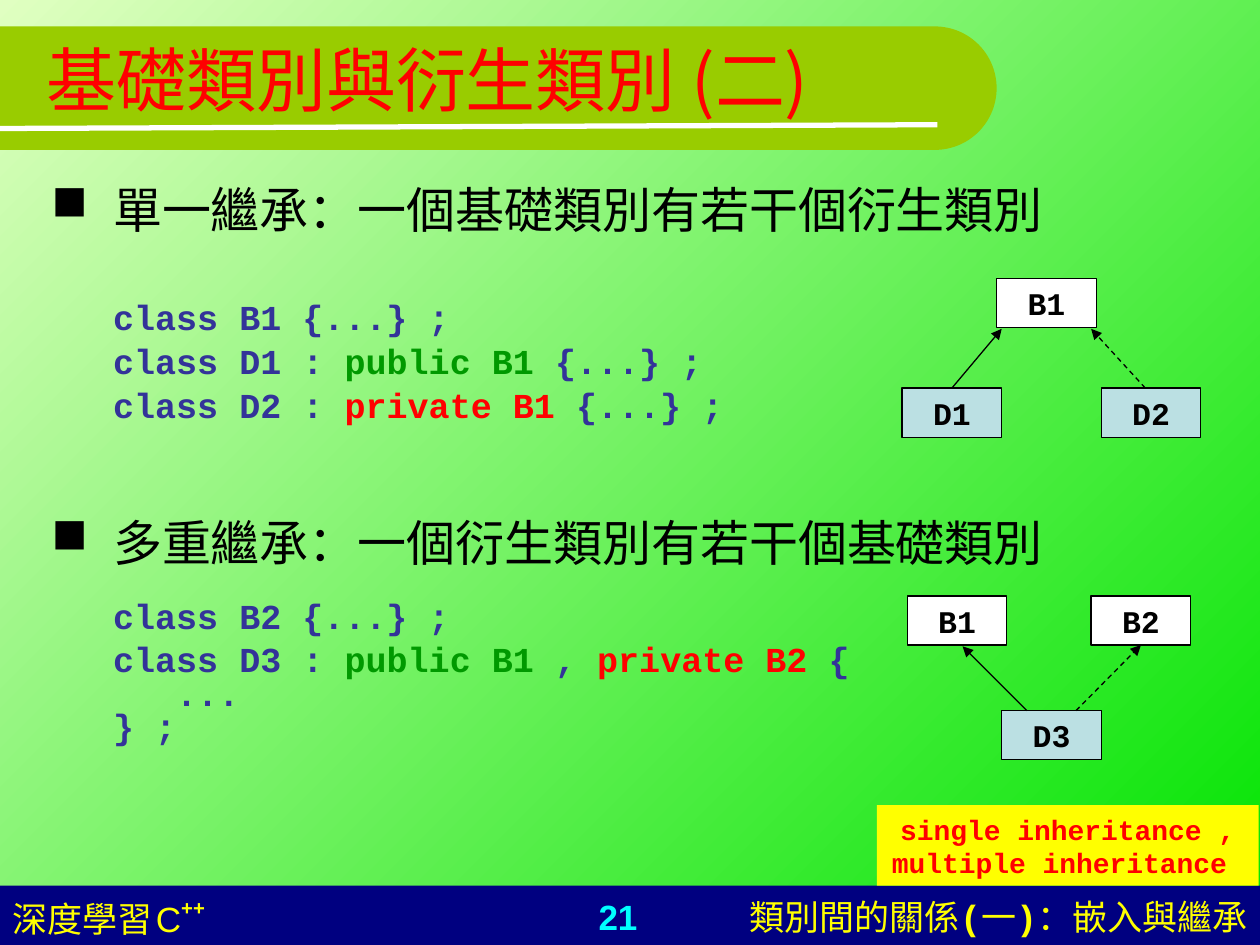
import math

from lxml import etree
from pptx import Presentation
from pptx import util as u
from pptx.dml.color import RGBColor
from pptx.enum import dml, shapes, text
from pptx.oxml.ns import qn

BLACK = RGBColor(0, 0, 0)
WHITE = RGBColor(255, 255, 255)
RED = RGBColor(255, 0, 0)
YELLOW = RGBColor(255, 255, 0)
CYAN = RGBColor(0, 255, 255)
NAVY = RGBColor(0, 0, 0x80)
OLIVE = RGBColor(0x99, 0xCC, 0)
INDIGO = RGBColor(0x33, 0x33, 0x99)
GREEN = RGBColor(0, 0x99, 0)
PALE_BLUE = RGBColor(0xBB, 0xE0, 0xE3)
GRADIENT = RGBColor(0xE0, 0xFF, 0xC1), RGBColor(0, 0xE4, 0)

SANS, MONO, CJK = "Arial", "Courier New", "Noto Sans CJK SC"
COLS, ROWS = 100, 75
NODE_W, NODE_H = 7.9, 3.9
INDENT = 4.9


def cell(n):
    """Length of n grid units; the slide is 100 columns by 75 rows."""
    return int(n * u.Inches(10) / COLS)


def add_run(p, words, size, color, font=SANS, bold=False):
    r = p.add_run()
    r.text = words
    r.font.size, r.font.name, r.font.bold = u.Pt(size), font, bold
    r.font.color.rgb = color
    return r


def add_text(s, left, top, width, height, align=text.PP_ALIGN.LEFT):
    """Add a wrapping text box and return its text frame."""
    tf = s.shapes.add_textbox(*map(cell, (left, top, width, height))).text_frame
    tf.word_wrap = True
    tf.paragraphs[0].alignment = align
    return tf


def add_rect(s, left, top, width, height, fill):
    sp = s.shapes.add_shape(shapes.MSO_SHAPE.RECTANGLE,
                            *map(cell, (left, top, width, height)))
    sp.shadow.inherit = False
    sp.fill.solid()
    sp.fill.fore_color.rgb = fill
    sp.line.fill.background()
    return sp


def add_line(s, start, end, color=BLACK, width=0.75, arrow=False, dashed=False):
    line = s.shapes.add_connector(shapes.MSO_CONNECTOR.STRAIGHT,
                                  *map(cell, (*start, *end)))
    line.line.color.rgb = color
    line.line.width = u.Pt(width)
    if dashed:
        line.line.dash_style = dml.MSO_LINE.DASH
    if arrow:
        etree.SubElement(line.line._get_or_add_ln(), qn("a:tailEnd"), type="triangle")
    etree.SubElement(line._element.spPr, qn("a:effectLst"))
    return line


def add_node(s, name, left, top, fill=WHITE):
    sp = add_rect(s, left, top, NODE_W, NODE_H, fill)
    sp.line.color.rgb = BLACK
    sp.line.width = u.Pt(0.75)
    tf = sp.text_frame
    tf.word_wrap = False
    tf.vertical_anchor = text.MSO_ANCHOR.MIDDLE
    p = tf.paragraphs[0]
    p.alignment = text.PP_ALIGN.CENTER
    add_run(p, name, 18, BLACK, MONO, True)
    return sp


def add_banner(s):
    """Title band with a half-round right end and a white underline."""
    middle, radius, straight = 7, 4.9, 74.2
    arc = [(cell(straight + radius * math.cos(a)), cell(middle + radius * math.sin(a)))
           for a in (math.radians(d) for d in range(-90, 91, 3))]
    builder = s.shapes.build_freeform(0, arc[0][1])
    builder.add_line_segments(arc + [(0, arc[-1][1])], close=True)
    band = builder.convert_to_shape()
    band.shadow.inherit = False
    band.fill.solid()
    band.fill.fore_color.rgb = OLIVE
    band.line.fill.background()
    add_line(s, (0, 10.2), (74.4, 9.9), WHITE, 3)

    tf = add_text(s, 2.7, 0, 90, 12.5)
    tf.vertical_anchor = text.MSO_ANCHOR.MIDDLE
    add_run(tf.paragraphs[0], "基礎類別與衍生類別 ", 40, RED)
    add_run(tf.paragraphs[0], "(二)", 40, RED, CJK)


def add_footer(s):
    add_rect(s, 0, 70.3, COLS, 4.7, NAVY)
    top, height = 70.6, 4.4
    page = add_text(s, 37.4, top, 23.3, height, text.PP_ALIGN.CENTER)
    add_run(page.paragraphs[0], "21", 20, CYAN, bold=True)

    p = add_text(s, 50.8, top, 49.2, height, text.PP_ALIGN.RIGHT).paragraphs[0]
    for words, font, bold in (("類別間的關係", SANS, False), ("(", MONO, True),
                              ("一", SANS, False), (")", MONO, True),
                              ("：", SANS, False), ("嵌入與繼承", CJK, False)):
        add_run(p, words, 20, YELLOW, font, bold)

    p = add_text(s, 0, top, 35.8, height).paragraphs[0]
    add_run(p, "深度學習", 20, YELLOW)
    add_run(p, " ", 8, YELLOW)
    add_run(p, "C", 20, YELLOW)
    plus = add_run(p, "++", 20, YELLOW, bold=True)
    plus.font._element.set("baseline", "46000")


def next_paragraph(tf, before, line, indent=0):
    """Start a paragraph with fixed line height, reusing the empty first one."""
    p = tf.paragraphs[0] if not tf.paragraphs[0].runs else tf.add_paragraph()
    p.space_before, p.line_spacing = u.Pt(before), u.Pt(line)
    pPr = p._p.get_or_add_pPr()
    pPr.set("marL", str(cell(INDENT)))
    pPr.set("indent", str(cell(indent)))
    return p


def add_heading(tf, words, before):
    p = next_paragraph(tf, before, 29.5, -INDENT)
    etree.SubElement(p._p.pPr, qn("a:buChar"), char="■")
    add_run(p, words, 28, BLACK, MONO)


def add_code(tf, before, *parts):
    """Add one code line; each part is a string or a (string, colour) pair."""
    p = next_paragraph(tf, before, 19)
    for part in parts:
        words, color = (part, INDIGO) if isinstance(part, str) else part
        add_run(p, words, 20, color, MONO, True)


def add_body(s):
    tf = add_text(s, 3.1, 14.3, 93.3, 47.6)
    add_heading(tf, "單一繼承：一個基礎類別有若干個衍生類別", 0)
    add_code(tf, 38, "class B1 {...} ;")
    add_code(tf, 6, "class D1 : ", ("public B1", GREEN), " {...} ;")
    add_code(tf, 6, "class D2 : ", ("private B1", RED), " {...} ;")
    add_heading(tf, "多重繼承：一個衍生類別有若干個基礎類別", 54)
    add_code(tf, 18, "class B2 {...} ;")
    add_code(tf, 6, "class D3 : ", ("public B1", GREEN), " , ",
             ("private B2", RED), " {")
    add_code(tf, 0, "   ...")
    add_code(tf, 0, "} ;")


def add_diagrams(s):
    add_node(s, "B1", 79.1, 22.1)
    d1 = add_node(s, "D1", 71.6, 30.8, PALE_BLUE)
    add_node(s, "D2", 87.4, 30.8, PALE_BLUE)
    add_line(s, (75.6, 30.8), (79.5, 26.1), arrow=True).begin_connect(d1, 0)
    add_line(s, (90.9, 30.8), (86.6, 26.1), arrow=True, dashed=True)

    add_node(s, "B1", 72, 47.3)
    add_node(s, "D3", 79.5, 56.4, PALE_BLUE)
    b2 = add_node(s, "B2", 86.6, 47.3)
    add_line(s, (81.5, 56.4), (76.4, 51.3), arrow=True)
    add_line(s, (85.4, 56.4), (90.6, 51.3), arrow=True, dashed=True).end_connect(b2, 2)


def add_keywords(s):
    tf = add_rect(s, 69.6, 63.9, 30.3, 6.4, YELLOW).text_frame
    tf.word_wrap = True
    tf.vertical_anchor = text.MSO_ANCHOR.BOTTOM
    p = tf.paragraphs[0]
    p.alignment = text.PP_ALIGN.CENTER
    add_run(p, "single inheritance , multiple inheritance ", 16, RED, MONO, True)


def main():
    prs = Presentation()
    prs.slide_width, prs.slide_height = cell(COLS), cell(ROWS)
    s = prs.slides.add_slide(prs.slide_layouts[6])
    fill = s.background.fill
    fill.gradient()
    fill.gradient_angle = 315
    for i, color in enumerate(GRADIENT):
        fill.gradient_stops[i].position = i
        fill.gradient_stops[i].color.rgb = color
    add_footer(s)
    add_banner(s)
    add_body(s)
    add_keywords(s)
    add_diagrams(s)
    prs.save("out.pptx")


if __name__ == "__main__":
    main()
